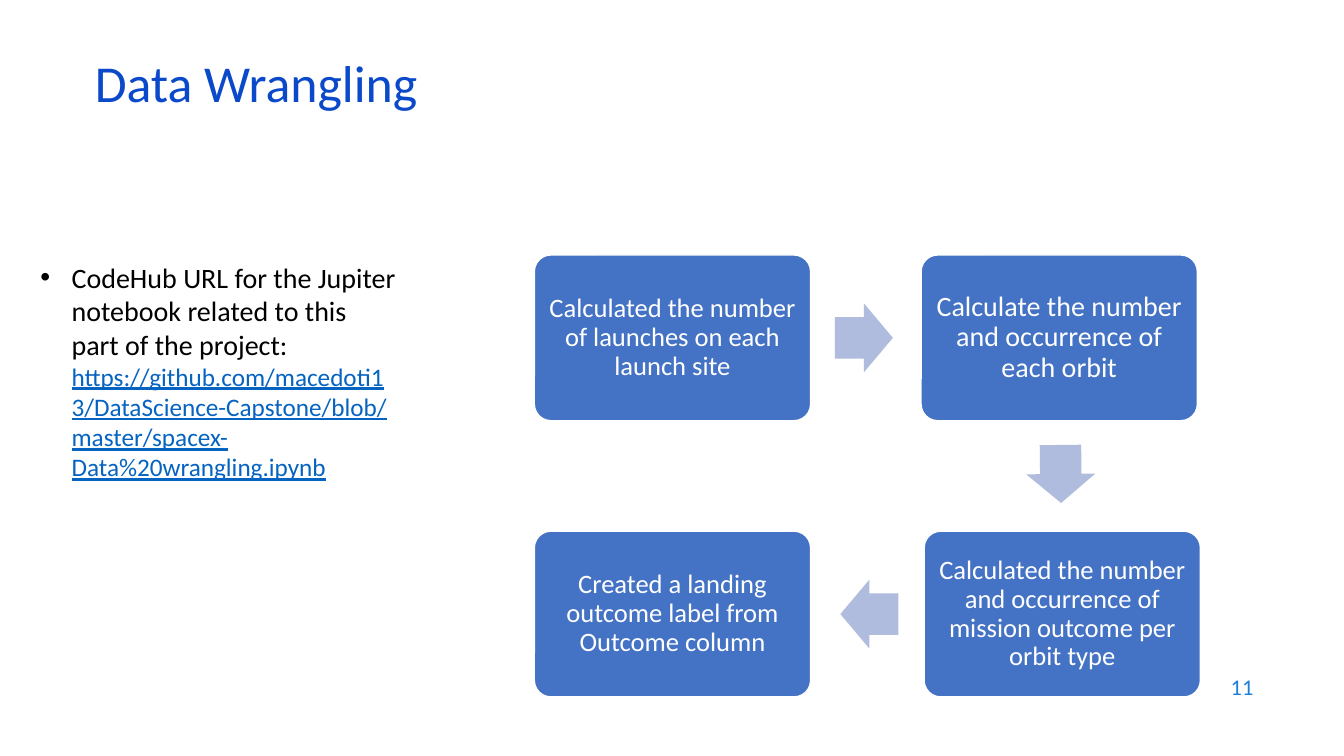
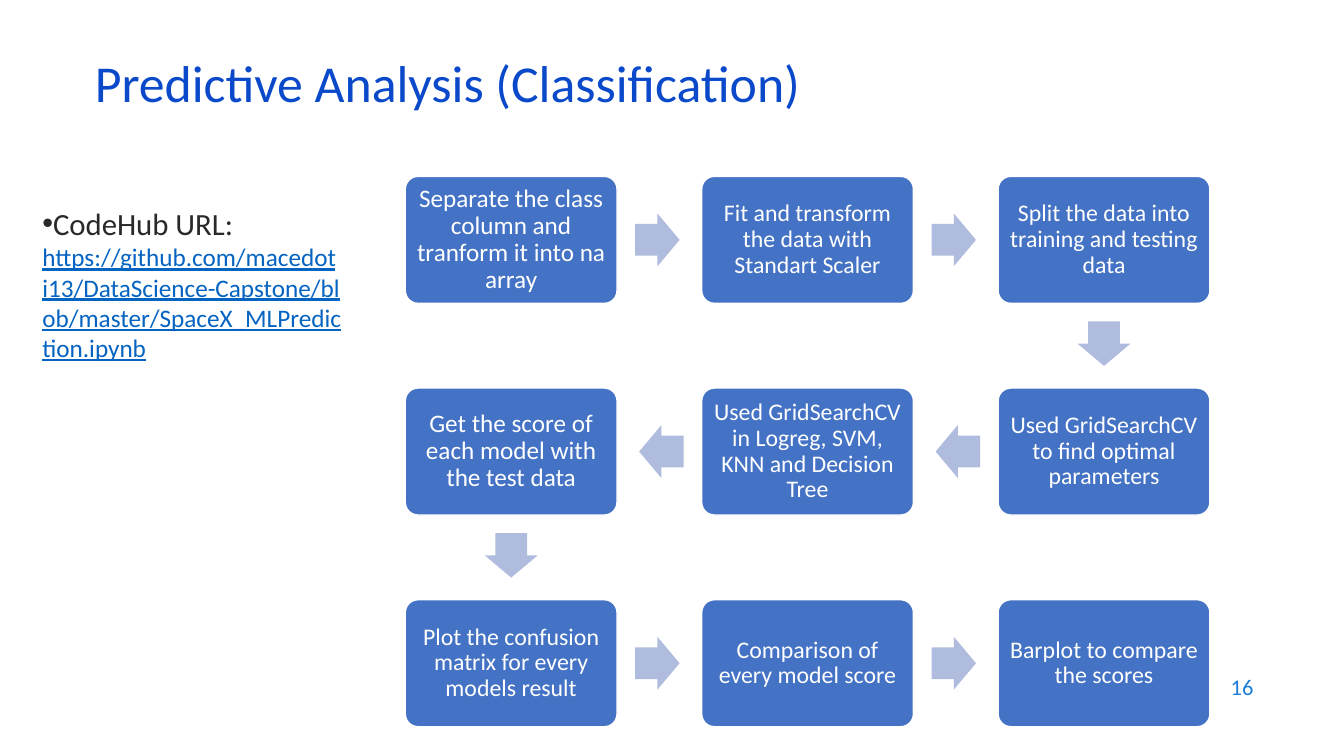
from itertools import pairwise
from math import atan2, cos, degrees, sin

from pptx import Presentation
from pptx.dml.color import RGBColor
from pptx.enum.shapes import MSO_SHAPE
from pptx.enum.text import MSO_ANCHOR, MSO_AUTO_SIZE, PP_ALIGN
from pptx.util import Inches, Pt
from lxml import etree

LEFT, CENTER, RIGHT = PP_ALIGN.LEFT, PP_ALIGN.CENTER, PP_ALIGN.RIGHT
TOP, MIDDLE = MSO_ANCHOR.TOP, MSO_ANCHOR.MIDDLE
NO_AUTOFIT = MSO_AUTO_SIZE.NONE
ROUNDED, ARROW = MSO_SHAPE.ROUNDED_RECTANGLE, MSO_SHAPE.RIGHT_ARROW

FONT = "Calibri"
WHITE, BLACK, CHARCOAL = "FFFFFF", "000000", "292929"
TITLE_BLUE, NUMBER_BLUE, LINK_BLUE = "0B49CB", "1C7DDB", "0563C1"
STEP_BLUE, ARROW_BLUE = "4472C4", "B0BCDE"

TITLE_AREA = (0.84, 0.59, 11.5, 0.6)
NUMBER_AREA = (9.53, 6.59, 3, 0.44)

# A step is its text, its font size and, where needed, a shift to the right.
SLIDES = [
    {
        "title": "Data Wrangling",
        "number": "11",
        "link": {
            "area": (0.3, 2.53, 3.73, 2.32),
            "lead": "CodeHub URL for the Jupiter notebook related to this part of the project: ",
            "url": "https://github.com/macedoti13/DataScience-Capstone/blob/master/spacex-Data%20wrangling.ipynb",
            "size": 20, "color": BLACK, "indent": 0.31,
        },
        "flow": {
            "origin": (5.3, 2.53), "step_width": 2.74, "columns": 2,
            "steps": [
                ("Calculated the number of launches on each launch site", 19),
                ("Calculate the number and occurrence of each orbit", 20),
                ("Calculated the number and occurrence of mission outcome per orbit type", 19, 0.03),
                ("Created a landing outcome label from Outcome column", 19),
            ],
        },
    },
    {
        "title": "Predictive Analysis (Classification)",
        "number": "16",
        "link": {
            "area": (0.32, 1.98, 3.17, 4.76),
            "lead": "CodeHub URL: ",
            "url": "https://github.com/macedoti13/DataScience-Capstone/blob/master/SpaceX_MLPrediction.ipynb",
            "size": 22, "color": CHARCOAL, "indent": 0,
        },
        "flow": {
            "origin": (4.02, 1.75), "step_width": 2.1, "columns": 3,
            "steps": [
                ("Separate the class column and tranform it into na array", 18),
                ("Fit and transform the data with Standart Scaler", 17),
                ("Split the data into training and testing data", 17),
                ("Used GridSearchCV to find optimal parameters", 17),
                ("Used GridSearchCV in Logreg, SVM, KNN and Decision Tree", 17),
                ("Get the score of each model with the test data", 18),
                ("Plot the confusion matrix for every models result", 17),
                ("Comparison of every model score", 17),
                ("Barplot to compare the scores", 17),
            ],
        },
    },
]


def rgb(value):
    return RGBColor.from_string(value)


def place(shape, area):
    shape.left, shape.top, shape.width, shape.height = map(Inches, area)


def style(font, size, color):
    font.name, font.size = FONT, Pt(size)
    font.color.rgb = rgb(color)


def write(shape, text, size, color, align, anchor=MIDDLE, spacing=1.0):
    frame = shape.text_frame
    frame.word_wrap = True
    frame.auto_size = NO_AUTOFIT
    frame.vertical_anchor = anchor
    paragraph = frame.paragraphs[0]
    paragraph.text = text
    paragraph.alignment = align
    paragraph.line_spacing = spacing
    paragraph.space_before = Pt(0)
    style(paragraph.font, size, color)
    return paragraph


def set_bullet(paragraph, indent):
    properties = paragraph._p.get_or_add_pPr()
    properties.set("marL", str(Inches(indent)))
    properties.set("indent", str(-Inches(indent)))
    namespace = properties.nsmap["a"]
    bullet = etree.Element(f"{{{namespace}}}buChar", char="•")
    # The bullet belongs before the default run properties.
    properties.find(f"{{{namespace}}}defRPr").addprevious(bullet)


def add_link(body, link):
    place(body, link["area"])
    paragraph = write(body, link["lead"], link["size"], link["color"], LEFT, TOP)
    set_bullet(paragraph, link["indent"])
    url = paragraph.add_run()
    url.text = link["url"]
    style(url.font, 18, LINK_BLUE)
    url.font.underline = True


def add_solid(slide, kind, area, fill, adjustments):
    shape = slide.shapes.add_shape(kind, *map(Inches, area))
    shape.shadow.inherit = False
    shape.fill.solid()
    shape.fill.fore_color.rgb = rgb(fill)
    for index, value in enumerate(adjustments):
        shape.adjustments[index] = value
    return shape


def add_flow(slide, flow):
    """Lay the steps row by row, turning at each row's end, with arrows between."""
    left, top = flow["origin"]
    width, columns = flow["step_width"], flow["columns"]
    height = 0.6 * width
    centers = []
    for index, (text, size, *shift) in enumerate(flow["steps"]):
        row, column = divmod(index, columns)
        if row % 2:
            column = columns - 1 - column
        x = left + column * 1.4 * width + sum(shift)
        y = top + row * height * 5 / 3
        step = add_solid(slide, ROUNDED, (x, y, width, height), STEP_BLUE, [0.1])
        step.line.color.rgb = rgb(WHITE)
        step.line.width = Pt(1)
        frame = step.text_frame
        frame.margin_left = frame.margin_right = Inches(0.03 * width)
        frame.margin_top = frame.margin_bottom = Inches(0.03 * width)
        write(step, text, size, WHITE, CENTER, spacing=0.9)
        centers.append((x + width / 2, y + height / 2))

    length, breadth, setback = 0.21 * width, 0.25 * width, 0.02
    for (x1, y1), (x2, y2) in pairwise(centers):
        angle = atan2(y2 - y1, x2 - x1)
        x = (x1 + x2) / 2 - setback * cos(angle)
        y = (y1 + y2) / 2 - setback * sin(angle)
        area = (x - length / 2, y - breadth / 2, length, breadth)
        arrow = add_solid(slide, ARROW, area, ARROW_BLUE, [0.6, 0.5])
        arrow.line.fill.background()
        arrow.rotation = degrees(angle)


def add_slide(deck, content):
    slide = deck.slides.add_slide(deck.slide_layouts[1])
    title, body = slide.placeholders
    place(title, TITLE_AREA)
    write(title, content["title"], 37, TITLE_BLUE, LEFT, spacing=0.7)
    add_link(body, content["link"])
    add_flow(slide, content["flow"])
    number = slide.shapes.add_textbox(*map(Inches, NUMBER_AREA))
    write(number, content["number"], 16, NUMBER_BLUE, RIGHT)


def main():
    deck = Presentation()
    deck.slide_width, deck.slide_height = Inches(13.33), Inches(7.5)
    for content in SLIDES:
        add_slide(deck, content)
    deck.save("out.pptx")


if __name__ == "__main__":
    main()
